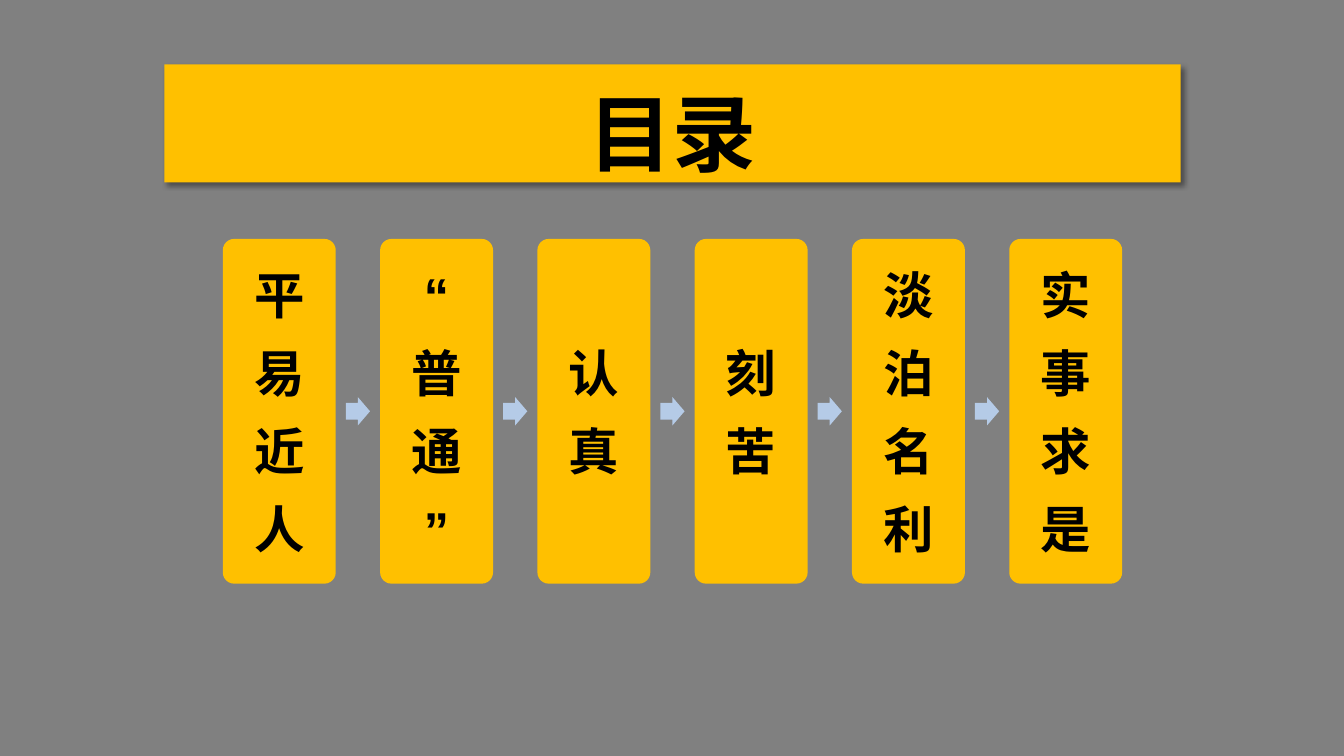
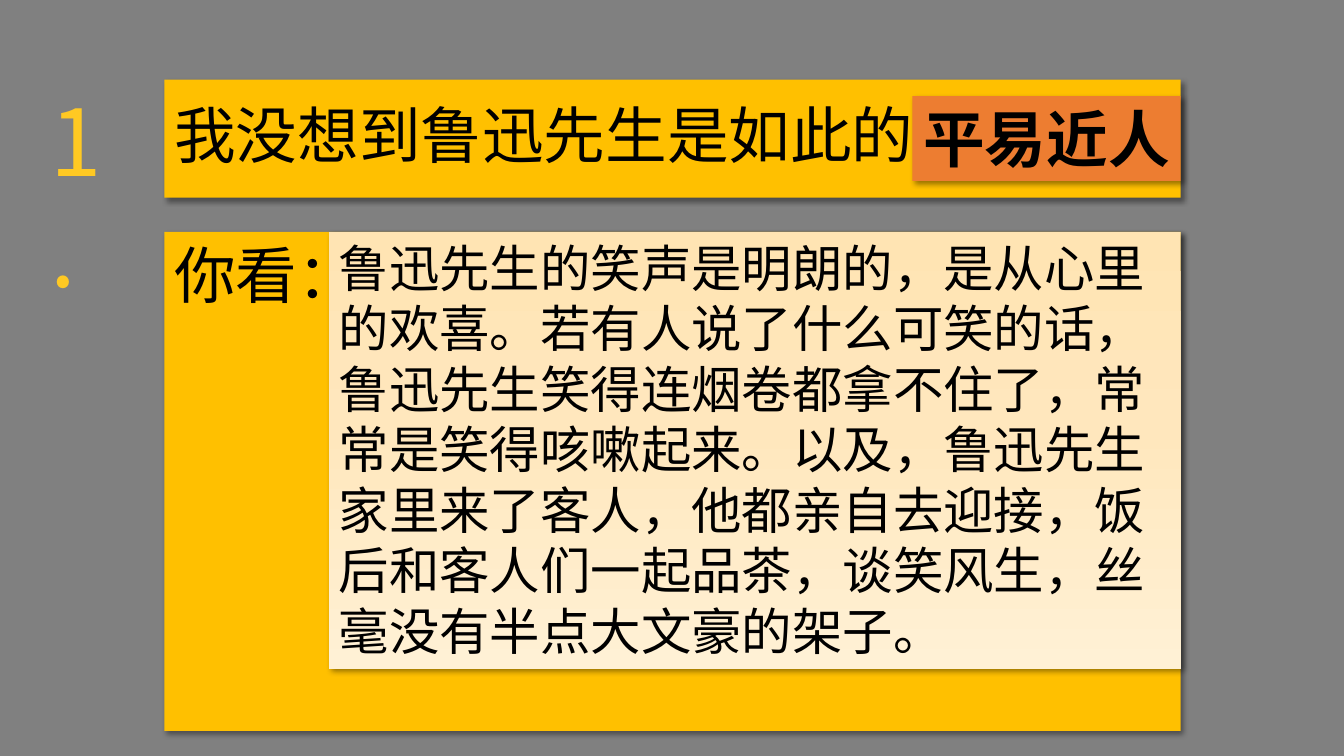
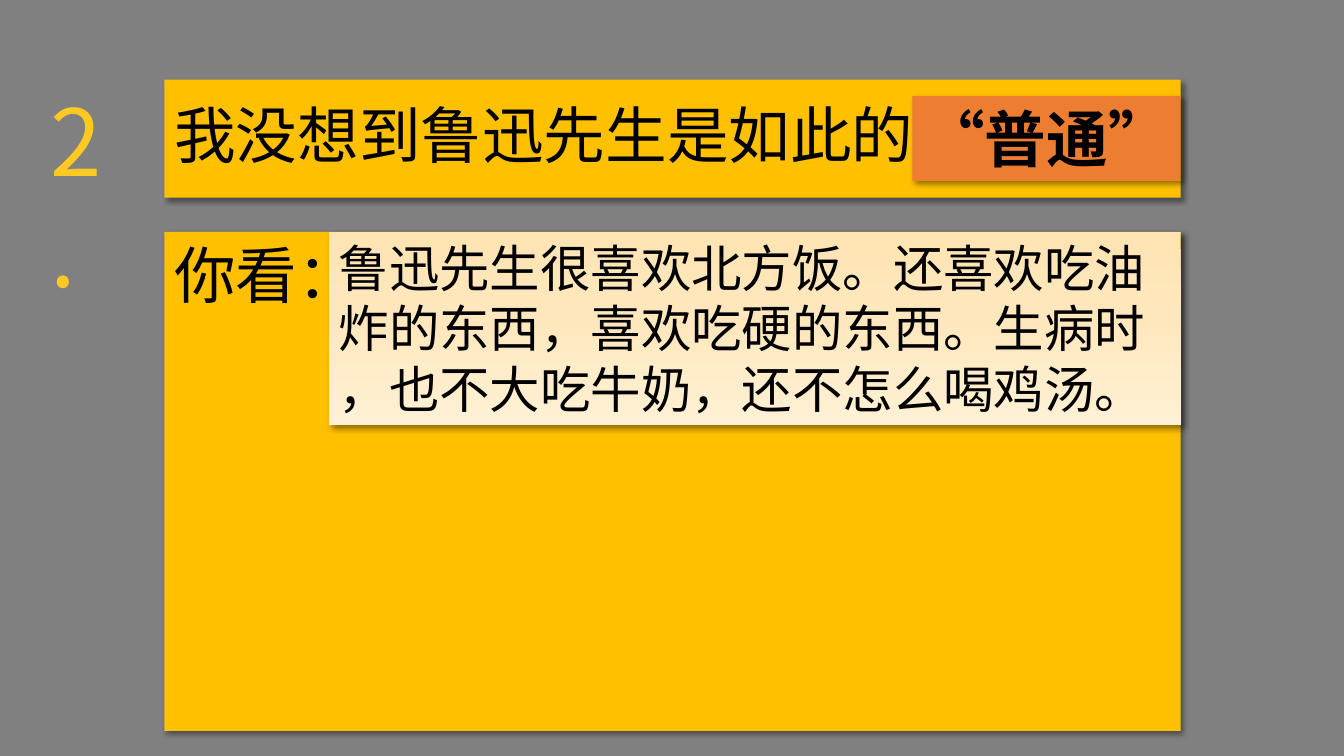
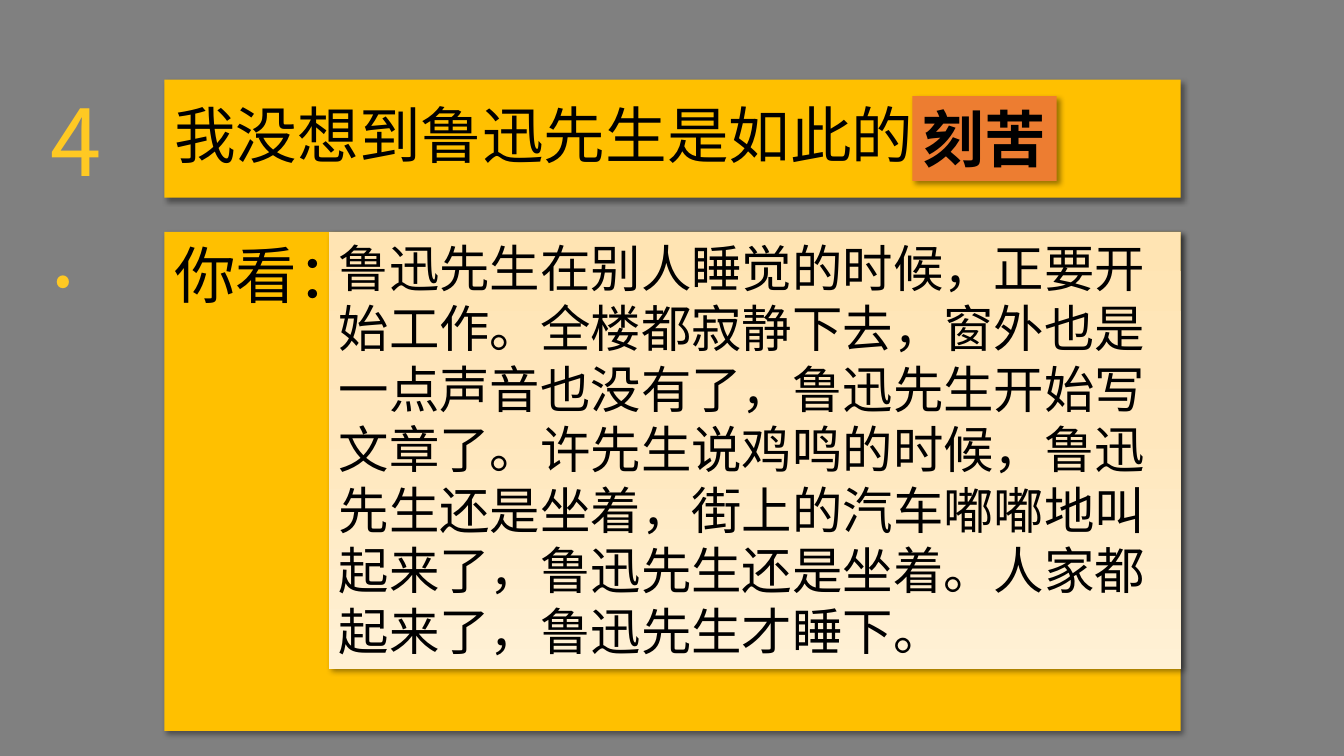
from copy import deepcopy
from dataclasses import dataclass

from lxml.etree import SubElement
from pptx import Presentation
from pptx.dml.color import RGBColor
from pptx.enum.shapes import MSO_SHAPE
from pptx.enum.text import MSO_ANCHOR, PP_ALIGN
from pptx.oxml.ns import qn
from pptx.util import Inches, Pt


@dataclass(frozen=True)
class Theme:
    """Colours, fonts and type sizes of the deck."""
    ground: str = "808080"
    band: str = "FFC000"
    tag: str = "ED7D31"
    arrow: str = "B5CBE7"
    number: str = "FFC923"
    ink: str = "000000"
    paper: tuple = ((0, "FFE4B3"), (0.45, "FFE7BD"), (1, "FFF1D5"))
    latin: str = "Arial"
    label: str = "Calibri"
    cjk: str = "Noto Sans CJK SC"
    body_pt: int = 36
    title_pt: int = 44
    cover_pt: int = 60
    number_pt: int = 66


T = Theme()


def add_box(slide, kind, at, fill, shadow=False):
    """Add a borderless shape with a solid or gradient fill."""
    sp = slide.shapes.add_shape(kind, *map(Inches, at))
    sp.line.fill.background()
    if isinstance(fill, str):
        sp.fill.solid()
        sp.fill.fore_color.rgb = RGBColor.from_string(fill)
    else:
        sp.fill.gradient()
        sp.fill.gradient_angle = 270
        stops = sp._element.spPr.find(".//" + qn("a:gsLst"))
        stops.insert(1, deepcopy(stops[0]))
        for stop, (position, color) in zip(sp.fill.gradient_stops, fill):
            stop.position = position
            stop.color.rgb = RGBColor.from_string(color)
    sp.shadow.inherit = False
    if shadow:
        effects = sp._element.spPr.find(qn("a:effectLst"))
        outer = SubElement(effects, qn("a:outerShdw"), blurRad=str(Pt(4)),
                           dist=str(Pt(3)), dir="2700000", algn="tl", rotWithShape="0")
        color = SubElement(outer, qn("a:srgbClr"), val=T.ink)
        SubElement(color, qn("a:alpha"), val="40000")
    return sp


def write(sp, paragraphs, size, font, color=T.ink, bold=False, align=PP_ALIGN.LEFT,
          anchor=MSO_ANCHOR.TOP, wrap=True, spacing=None, after=0):
    """Fill a shape with evenly formatted paragraphs."""
    tf = sp.text_frame
    tf.word_wrap = wrap
    tf.vertical_anchor = anchor
    tf.text = "\n".join(paragraphs)
    for p in tf.paragraphs:
        p.alignment = align
        p.line_spacing = spacing
        p.space_after = Pt(after)
        for r in p.runs:
            r.font.size, r.font.name, r.font.bold = Pt(size), font, bold
            r.font.color.rgb = RGBColor.from_string(color)
            SubElement(r.font._element, qn("a:ea"), typeface=T.cjk)


prs = Presentation()
prs.slide_width, prs.slide_height = Inches(13.33), Inches(7.5)
background = prs.slide_master.background.fill
background.solid()
background.fore_color.rgb = RGBColor.from_string(T.ground)
blank = prs.slide_layouts[6]

# Shared grid, in inches
LEFT, WIDTH = 1.63, 10.08
RIGHT = LEFT + WIDTH
TITLE_TOP, TITLE_H = 0.79, 1.17
PANEL_TOP, PANEL_H = 2.3, 4.95
TAG_LEFT, BODY_LEFT = 9.05, 3.26
LABEL_H = 0.84

# Contents
slide = prs.slides.add_slide(blank)
add_box(slide, MSO_SHAPE.RECTANGLE, (LEFT, 0.64, WIDTH, TITLE_H), T.band, shadow=True)
title = slide.shapes.add_textbox(*map(Inches, (LEFT, TITLE_TOP, WIDTH, TITLE_H)))
write(title, ["目录"], T.cover_pt, T.cjk, bold=True, align=PP_ALIGN.CENTER,
      anchor=MSO_ANCHOR.MIDDLE, spacing=0.9)

topics = ["平易近人", "“普通”", "认真", "刻苦", "淡泊名利", "实事求是"]
CARD_LEFT, CARD_TOP, CARD_W, CARD_H, PITCH = 2.21, 2.37, 1.12, 3.42, 1.56
ARROW_W, ARROW_H = 0.24, 0.28
for i, topic in enumerate(topics):
    x = CARD_LEFT + i * PITCH
    card = add_box(slide, MSO_SHAPE.ROUNDED_RECTANGLE, (x, CARD_TOP, CARD_W, CARD_H), T.band)
    card.adjustments[0] = 0.1
    tf = card.text_frame
    tf.margin_left = tf.margin_right = tf.margin_top = tf.margin_bottom = Inches(0.15)
    write(card, topic, T.body_pt, T.latin, bold=True, align=PP_ALIGN.CENTER,
          anchor=MSO_ANCHOR.MIDDLE, after=0.35 * T.body_pt)
    if i < len(topics) - 1:
        arrow_left = x + (CARD_W + PITCH - ARROW_W) / 2
        arrow_top = CARD_TOP + (CARD_H - ARROW_H) / 2
        arrow = add_box(slide, MSO_SHAPE.RIGHT_ARROW,
                        (arrow_left, arrow_top, ARROW_W, ARROW_H), T.arrow)
        arrow.adjustments[0] = 0.6

# Topic slides: number, quality, tag width, body height, paragraphs
pages = [
    ("1.", "平易近人", 2.66, 4.34, [
        "鲁迅先生的笑声是明朗的，是从心里的欢喜。若有人说了什么可笑的话，"
        "鲁迅先生笑得连烟卷都拿不住了，常常是笑得咳嗽起来。以及，"
        "鲁迅先生家里来了客人，他都亲自去迎接，饭后和客人们一起品茶，"
        "谈笑风生，丝毫没有半点大文豪的架子。"]),
    ("2.", "“普通”", 2.66, 1.92, [
        "鲁迅先生很喜欢北方饭。还喜欢吃油炸的东西，喜欢吃硬的东西。生病时",
        "，也不大吃牛奶，还不怎么喝鸡汤。"]),
    ("4.", "刻苦", 1.43, 4.34, [
        "鲁迅先生在别人睡觉的时候，正要开始工作。全楼都寂静下去，"
        "窗外也是一点声音也没有了，鲁迅先生开始写文章了。"
        "许先生说鸡鸣的时候，鲁迅先生还是坐着，街上的汽车嘟嘟地叫起来了，"
        "鲁迅先生还是坐着。人家都起来了，鲁迅先生才睡下。"]),
]
for number, quality, tag_w, body_h, paragraphs in pages:
    slide = prs.slides.add_slide(blank)
    add_box(slide, MSO_SHAPE.RECTANGLE, (LEFT, PANEL_TOP, WIDTH, PANEL_H), T.band, shadow=True)
    title = add_box(slide, MSO_SHAPE.RECTANGLE, (LEFT, TITLE_TOP, WIDTH, TITLE_H),
                    T.band, shadow=True)
    write(title, ["我没想到鲁迅先生是如此的"], T.title_pt, T.latin,
          anchor=MSO_ANCHOR.MIDDLE, spacing=0.9)
    label = slide.shapes.add_textbox(*map(Inches, (LEFT, PANEL_TOP, 1.84, LABEL_H)))
    write(label, ["你看："], T.title_pt, T.label)
    tag_top = TITLE_TOP + (TITLE_H - LABEL_H) / 2
    tag = add_box(slide, MSO_SHAPE.RECTANGLE, (TAG_LEFT, tag_top, tag_w, LABEL_H),
                  T.tag, shadow=True)
    write(tag, [quality], T.title_pt, T.cjk, bold=True, align=PP_ALIGN.CENTER, wrap=False)
    body = add_box(slide, MSO_SHAPE.RECTANGLE,
                   (BODY_LEFT, PANEL_TOP, RIGHT - BODY_LEFT, body_h), T.paper, shadow=True)
    write(body, paragraphs, T.body_pt, T.latin)
    counter = slide.shapes.add_textbox(*map(Inches, (0.4, TITLE_TOP, 0.94, 1.21)))
    write(counter, [number], T.number_pt, T.cjk, color=T.number)

prs.save("out.pptx")
